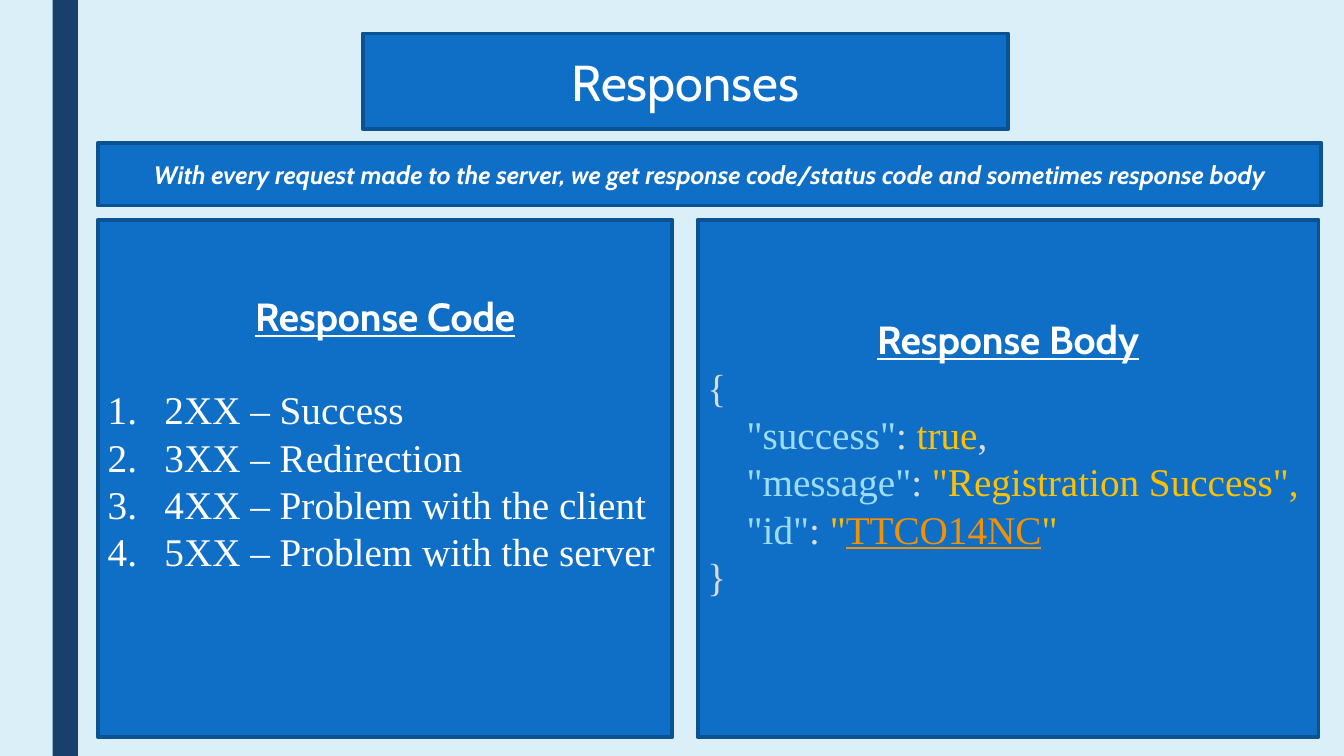
from pptx import Presentation
from pptx.dml.color import RGBColor
from pptx.enum.shapes import MSO_SHAPE
from pptx.enum.text import MSO_ANCHOR, PP_ALIGN
from pptx.oxml.ns import qn
from pptx.util import Pt

RECTANGLE = MSO_SHAPE.RECTANGLE
TOP, MIDDLE = MSO_ANCHOR.TOP, MSO_ANCHOR.MIDDLE
LEFT, CENTER = PP_ALIGN.LEFT, PP_ALIGN.CENTER

PALE = RGBColor(0xDB, 0xEF, 0xF9)
NAVY = RGBColor(0x17, 0x40, 0x6D)
BLUE = RGBColor(0x0F, 0x6F, 0xC6)
EDGE = RGBColor(0x0B, 0x52, 0x92)
WHITE = RGBColor(0xFF, 0xFF, 0xFF)
GREY = RGBColor(0xDC, 0xDC, 0xDC)
SKY = RGBColor(0x9C, 0xDC, 0xFE)
GOLD = RGBColor(0xFF, 0xC0, 0x00)
ORANGE = RGBColor(0xF4, 0x91, 0x00)

HEADING_FONT = "Cabin"
BODY_FONT = "Times New Roman"
BODY_SIZE = 28
LINE_HEIGHT = 33.75
NUMBER_INDENT = 40.5
CODE_INDENT = 28

TITLE_BOX = (259.2, 23.9, 460.8, 68.4)
SUMMARY_BOX = (69.9, 102.1, 874, 44.8)
CODE_BOX = (69.9, 157, 410.4, 369.4)
BODY_BOX = (498.3, 157, 443.5, 369.4)

CODES = [
    "2XX – Success",
    "3XX – Redirection",
    "4XX – Problem with the client",
    "5XX – Problem with the server",
]
JSON_LINES = [
    (0, [("{", GREY)]),
    (CODE_INDENT, [('"success"', SKY), (": ", GREY), ("true", GOLD), (",", GREY)]),
    (CODE_INDENT, [('"message"', SKY), (": ", GREY), ('"Registration Success",', GOLD)]),
    (CODE_INDENT, [('"id"', SKY), (": ", GREY), ('"', GOLD), ("TTCO14NC", ORANGE), ('"', GOLD)]),
    (0, [("}", GREY)]),
]


def style_panel(panel, anchor):
    panel.fill.solid()
    panel.fill.fore_color.rgb = BLUE
    panel.line.color.rgb = EDGE
    panel.line.width = Pt(2.75)
    frame = panel.text_frame
    frame.word_wrap = True
    frame.vertical_anchor = anchor
    return frame


def add_panel(page, box, anchor):
    panel = page.shapes.add_shape(RECTANGLE, *map(Pt, box))
    panel.shadow.inherit = False
    return style_panel(panel, anchor)


def format_span(span, font, size, color, bold=False, italic=False, underline=False):
    span.font.name = font
    span.font.size = Pt(size)
    span.font.color.rgb = color
    span.font.bold = bold
    span.font.italic = italic
    span.font.underline = underline


def add_line(frame):
    para = frame.add_paragraph()
    para.alignment = LEFT
    para.line_spacing = Pt(LINE_HEIGHT)
    return para


def number_line(para):
    properties = para._p.get_or_add_pPr()
    properties.set("marL", str(Pt(NUMBER_INDENT)))
    properties.set("indent", str(-Pt(NUMBER_INDENT)))
    bullet = properties.makeelement(qn("a:buAutoNum"), {"type": "arabicPeriod"})
    properties.append(bullet)


def draw_background(page, height):
    page.background.fill.solid()
    page.background.fill.fore_color.rgb = PALE
    stripe = page.shapes.add_shape(RECTANGLE, Pt(37.6), 0, Pt(18), height)
    stripe.shadow.inherit = False
    stripe.fill.solid()
    stripe.fill.fore_color.rgb = NAVY
    stripe.line.fill.background()


def draw_title(page, box):
    title = page.shapes.title
    title.left, title.top, title.width, title.height = map(Pt, box)
    frame = style_panel(title, MIDDLE)
    frame.text = "Responses"
    para = frame.paragraphs[0]
    para.alignment = CENTER
    format_span(para.runs[0], HEADING_FONT, 36, WHITE)


def draw_summary(page, box):
    frame = add_panel(page, box, MIDDLE)
    frame.text = ("With every request made to the server, we get response code/status code "
                  "and sometimes response body")
    para = frame.paragraphs[0]
    para.alignment = CENTER
    format_span(para.runs[0], HEADING_FONT, 18, WHITE, bold=True, italic=True)


def draw_headed_panel(page, box, heading, inset):
    frame = add_panel(page, box, TOP)
    frame.margin_top = Pt(inset)
    frame.text = heading
    para = frame.paragraphs[0]
    para.alignment = CENTER
    para.line_spacing = Pt(LINE_HEIGHT)
    format_span(para.runs[0], HEADING_FONT, BODY_SIZE, WHITE, bold=True, underline=True)
    return frame


def draw_response_codes(page, box):
    frame = draw_headed_panel(page, box, "Response Code", 52)
    frame.paragraphs[0].space_after = Pt(32.5)
    for code in CODES:
        para = add_line(frame)
        para.text = code
        format_span(para.runs[0], BODY_FONT, BODY_SIZE, WHITE)
        number_line(para)


def draw_response_body(page, box):
    frame = draw_headed_panel(page, box, "Response Body", 68.4)
    for indent, spans in JSON_LINES:
        para = add_line(frame)
        para._p.get_or_add_pPr().set("marL", str(Pt(indent)))
        for text, color in spans:
            span = para.add_run()
            span.text = text
            format_span(span, BODY_FONT, BODY_SIZE, color, underline=color == ORANGE)


def main():
    deck = Presentation()
    deck.slide_width, deck.slide_height = Pt(960), Pt(540)
    page = deck.slides.add_slide(deck.slide_layouts[5])
    draw_background(page, deck.slide_height)
    draw_title(page, TITLE_BOX)
    draw_summary(page, SUMMARY_BOX)
    draw_response_codes(page, CODE_BOX)
    draw_response_body(page, BODY_BOX)
    deck.save("out.pptx")


if __name__ == "__main__":
    main()
